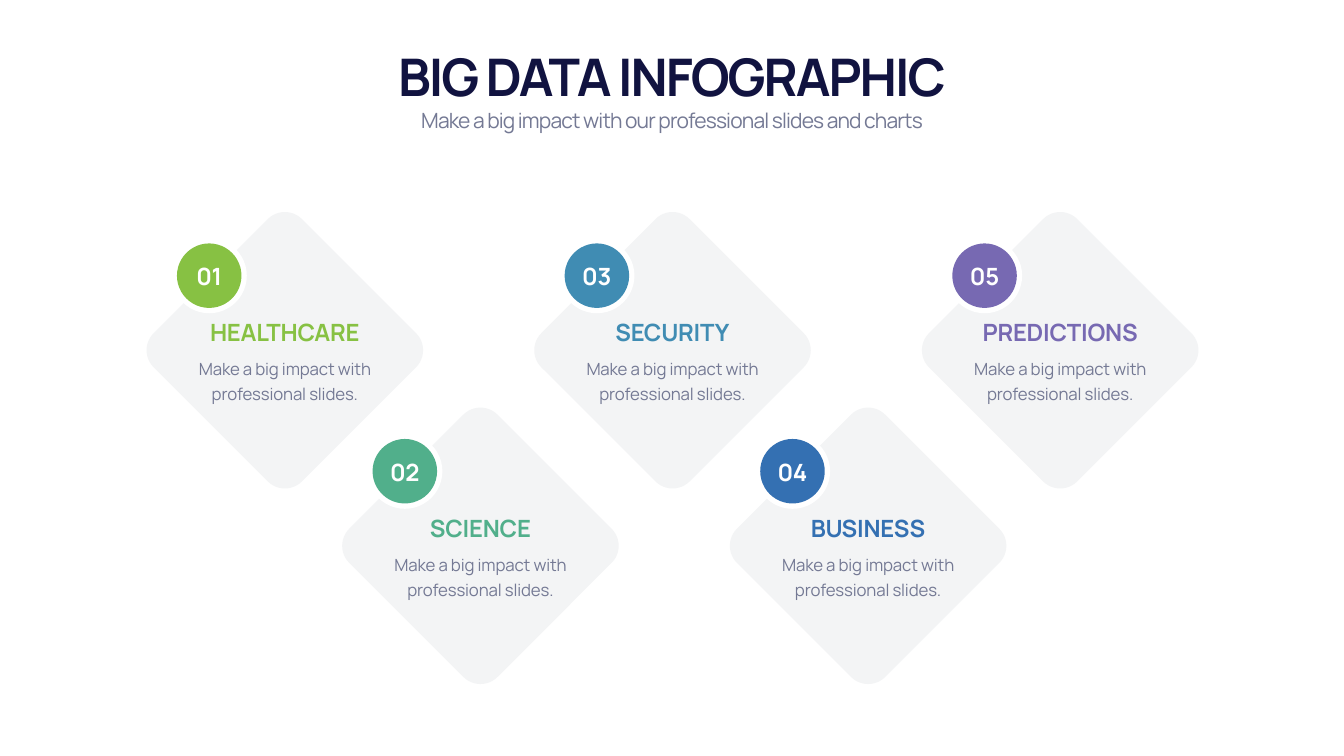
import pptx
import pptx.dml.color
import pptx.enum.shapes
import pptx.enum.text
import pptx.oxml.ns
import pptx.util
from lxml import etree

Inches = pptx.util.Inches
Pt = pptx.util.Pt
RGBColor = pptx.dml.color.RGBColor
Shape = pptx.enum.shapes.MSO_SHAPE
Anchor = pptx.enum.text.MSO_ANCHOR

FONT = "Manrope"
NAVY = RGBColor(0x11, 0x13, 0x40)
SLATE = RGBColor(0x74, 0x79, 0x94)
SILVER = RGBColor(0xC3, 0xC8, 0xCE)
WHITE = RGBColor(0xFF, 0xFF, 0xFF)
GREEN = RGBColor(0x87, 0xC1, 0x43)
TEAL = RGBColor(0x51, 0xAF, 0x8B)
CYAN = RGBColor(0x40, 0x8C, 0xB3)
BLUE = RGBColor(0x34, 0x70, 0xB2)
PURPLE = RGBColor(0x77, 0x69, 0xB2)

TOPICS = [
    ("HEALTHCARE", GREEN),
    ("SCIENCE", TEAL),
    ("SECURITY", CYAN),
    ("BUSINESS", BLUE),
    ("PREDICTIONS", PURPLE),
]
DESCRIPTION = "Make a big impact with professional slides."

# Inches: centre of the first diamond, step within a row, shift of the lower row
FIRST_X, FIRST_Y = 5.65, 6.95
COLUMN_STEP = 7.69
ROW_SHIFT = 3.88
DIAMOND_SIDE = 4.16
CORNER_RADIUS = 0.48


def add_centred_shape(slide, kind, x, y, size, color):
    """Add a square-framed shape around the point (x, y)."""
    shape = slide.shapes.add_shape(
        kind, Inches(x - size / 2), Inches(y - size / 2), Inches(size), Inches(size))
    shape.shadow.inherit = False
    shape.fill.solid()
    shape.fill.fore_color.rgb = color
    shape.line.fill.background()
    return shape


def set_opacity(shape, percent):
    color = shape.fill._xPr.find(".//" + pptx.oxml.ns.qn("a:srgbClr"))
    alpha = etree.SubElement(color, pptx.oxml.ns.qn("a:alpha"))
    alpha.set("val", str(percent * 1000))


def add_text(slide, text, x, top, width, height, size, color, spacing,
             bold=False, anchor=Anchor.TOP, line_height=None):
    """Add a text box centred on x; spacing is the letter spacing in points."""
    box = slide.shapes.add_textbox(
        Inches(x - width / 2), Inches(top), Inches(width), Inches(height))
    frame = box.text_frame
    frame.word_wrap = True
    frame.auto_size = pptx.enum.text.MSO_AUTO_SIZE.SHAPE_TO_FIT_TEXT
    frame.vertical_anchor = anchor
    paragraph = frame.paragraphs[0]
    paragraph.alignment = pptx.enum.text.PP_ALIGN.CENTER
    if line_height:
        paragraph.line_spacing = Pt(line_height)
    run = paragraph.add_run()
    run.text = text
    run.font.name = FONT
    run.font.size = Pt(size)
    run.font.bold = bold
    run.font.color.rgb = color
    run.font._element.set("spc", str(round(spacing * 100)))


def add_heading(slide):
    add_text(slide, "BIG DATA INFOGRAPHIC", 13.33, 0.77, 23.33, 1.4, 74, NAVY, -2.9,
             bold=True, anchor=Anchor.BOTTOM, line_height=94)
    add_text(slide, "Make a big impact with our professional slides and charts",
             13.33, 2.01, 23.33, 0.67, 30, SLATE, -1.2, line_height=42)


def add_diamond(slide, x, y):
    diamond = add_centred_shape(
        slide, Shape.ROUNDED_RECTANGLE, x, y, DIAMOND_SIDE, SILVER)
    diamond.adjustments[0] = CORNER_RADIUS / DIAMOND_SIDE
    diamond.rotation = 45
    set_opacity(diamond, 20)


def add_badge(slide, number, x, y, color):
    add_centred_shape(slide, Shape.OVAL, x, y, 1.49, WHITE)
    add_centred_shape(slide, Shape.OVAL, x, y, 1.28, color)
    add_text(slide, f"{number:02d}", x, y - 0.32, 0.9, 0.67, 34, WHITE, -0.3,
             bold=True, anchor=Anchor.MIDDLE)


def add_topic_text(slide, title, x, y, color):
    add_text(slide, title, x, y - 0.7, 3.65, 0.67, 34, color, -0.3,
             bold=True, anchor=Anchor.BOTTOM)
    add_text(slide, DESCRIPTION, x, y + 0.02, 3.65, 1.59, 24, SLATE, -0.2,
             line_height=36)


def main():
    presentation = pptx.Presentation()
    presentation.slide_width = Inches(26.66)
    presentation.slide_height = Inches(15)
    slide = presentation.slides.add_slide(presentation.slide_layouts[6])

    add_heading(slide)
    for index, (title, color) in enumerate(TOPICS):
        column, row = divmod(index, 2)
        x = FIRST_X + column * COLUMN_STEP + row * ROW_SHIFT
        y = FIRST_Y + row * ROW_SHIFT
        add_diamond(slide, x, y)
        add_badge(slide, index + 1, x - 1.5, y - 1.48, color)
        add_topic_text(slide, title, x, y, color)

    presentation.save("out.pptx")


if __name__ == "__main__":
    main()
